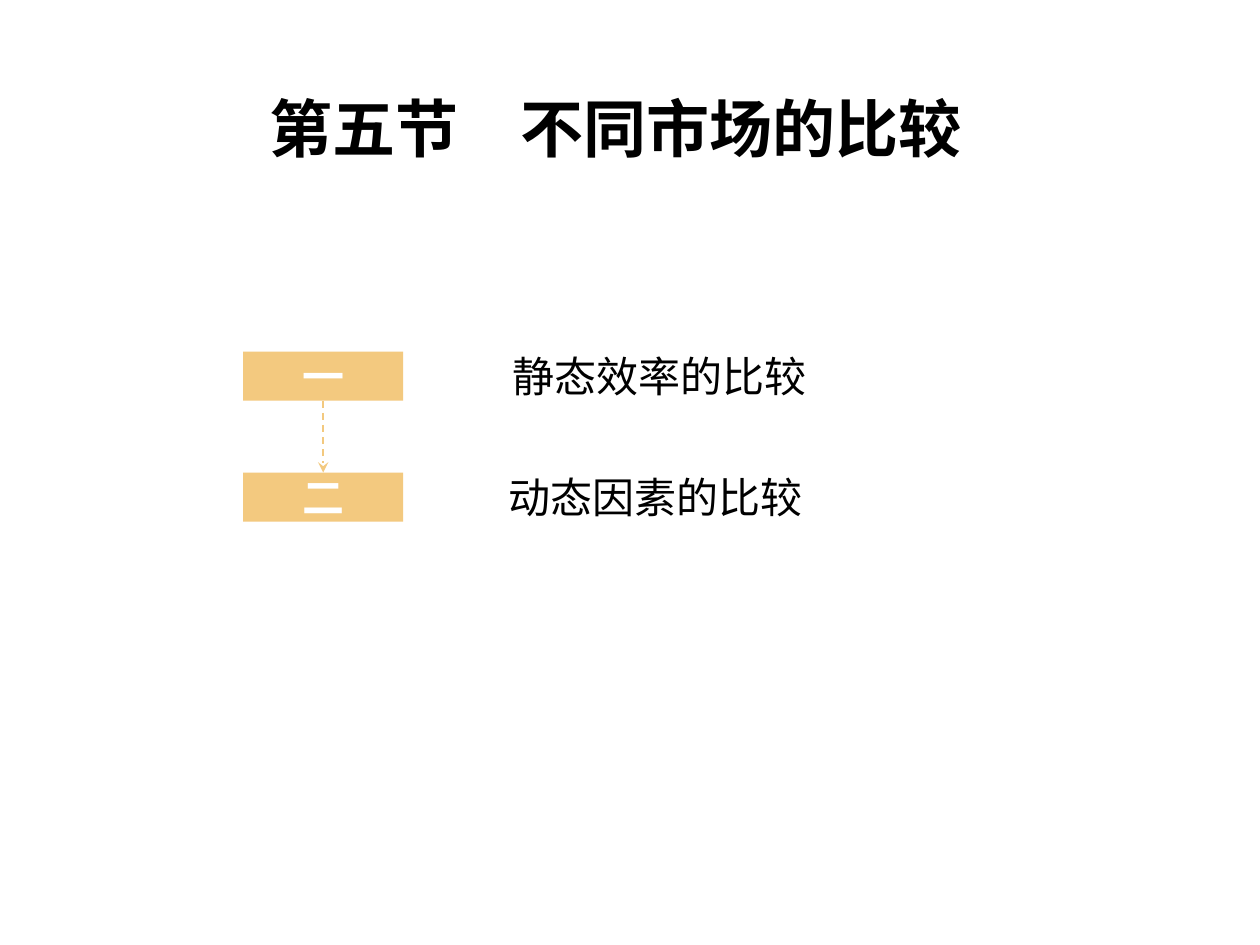
import pptx
import pptx.util
import pptx.dml.color
import pptx.enum.dml
import pptx.enum.shapes
import pptx.enum.text
import pptx.oxml.ns
import lxml.etree

Inches = pptx.util.Inches
Pt = pptx.util.Pt
ALIGN = pptx.enum.text.PP_ALIGN
ANCHOR = pptx.enum.text.MSO_ANCHOR

HEADING = "第五节\t 不同市场的比较"
TOPICS = [
    ("一", "静态效率的比较", 3.97),
    ("二", "动态因素的比较", 3.94),
]

THEME = {
    "font": "Noto Sans CJK SC",
    "accent": pptx.dml.color.RGBColor.from_string("F3C97F"),
    "ink": pptx.dml.color.RGBColor.from_string("000000"),
    "paper": pptx.dml.color.RGBColor.from_string("FFFFFF"),
    "heading": {"size": Pt(36), "bold": True},
    "number": {"size": Pt(24), "bold": True},
    "topic": {"size": Pt(24), "bold": False},
}

BADGE_LEFT, BADGE_TOP, BADGE_WIDTH, BADGE_HEIGHT = 1.93, 2.79, 1.27, 0.39
ROW_STEP = 0.96
TOPIC_RISE = 0.06


def add_child(parent, tag, **attributes):
    return lxml.etree.SubElement(parent, pptx.oxml.ns.qn(tag), attributes)


def write(frame, wording, role, color, frame_format, align):
    for attribute, value in frame_format.items():
        setattr(frame, attribute, value)
    paragraph = frame.paragraphs[0]
    paragraph.alignment = align
    run = paragraph.add_run()
    run.text = wording
    for attribute, value in {"name": THEME["font"], **THEME[role]}.items():
        setattr(run.font, attribute, value)
    run.font.color.rgb = color
    add_child(run.font._element, "a:ea", typeface=THEME["font"])
    return paragraph, run


def add_heading(slide):
    heading = slide.shapes.add_textbox(
        Inches(1.61), Inches(0.66), Inches(6.55), Inches(0.87))
    paragraph, _ = write(heading.text_frame, HEADING, "heading", THEME["ink"],
                         {"word_wrap": True}, ALIGN.CENTER)
    properties = paragraph._p.get_or_add_pPr()
    properties.set("marL", str(Inches(0.38)))
    properties.set("indent", str(Inches(-0.38)))


def add_badge(slide, number, top):
    badge = slide.shapes.add_shape(
        pptx.enum.shapes.MSO_SHAPE.RECTANGLE, Inches(BADGE_LEFT), Inches(top),
        Inches(BADGE_WIDTH), Inches(BADGE_HEIGHT))
    badge.shadow.inherit = False
    badge.fill.solid()
    badge.fill.fore_color.rgb = THEME["accent"]
    badge.line.fill.background()
    _, run = write(badge.text_frame, number, "number", THEME["paper"],
                   {"word_wrap": True, "vertical_anchor": ANCHOR.MIDDLE},
                   ALIGN.CENTER)
    run.font._element.set("spc", "150")


def add_arrow(slide, start, end):
    center = Inches(BADGE_LEFT + BADGE_WIDTH / 2)
    arrow = slide.shapes.add_connector(
        pptx.enum.shapes.MSO_CONNECTOR.STRAIGHT,
        center, Inches(start), center, Inches(end))
    arrow.line.color.rgb = THEME["accent"]
    line_format = {"width": Pt(1),
                   "dash_style": pptx.enum.dml.MSO_LINE.DASH}
    for attribute, value in line_format.items():
        setattr(arrow.line, attribute, value)
    add_child(arrow.line._get_or_add_ln(), "a:tailEnd", type="stealth")
    add_child(arrow._element.spPr, "a:effectLst")


def add_topic(slide, wording, left, top):
    topic = slide.shapes.add_textbox(
        Inches(left), Inches(top), Inches(2.56), Inches(0.5))
    write(topic.text_frame, wording, "topic", THEME["ink"],
          {"word_wrap": False,
           "auto_size": pptx.enum.text.MSO_AUTO_SIZE.SHAPE_TO_FIT_TEXT},
          ALIGN.LEFT)


def main():
    deck = pptx.Presentation()
    deck.slide_width, deck.slide_height = Inches(10), Inches(7.5)
    slide = deck.slides.add_slide(deck.slide_layouts[6])
    add_heading(slide)
    for row, (number, wording, left) in enumerate(TOPICS):
        top = BADGE_TOP + row * ROW_STEP
        if row:
            add_arrow(slide, top - ROW_STEP + BADGE_HEIGHT, top)
        add_badge(slide, number, top)
        add_topic(slide, wording, left, top - TOPIC_RISE)
    deck.save("out.pptx")


if __name__ == "__main__":
    main()
